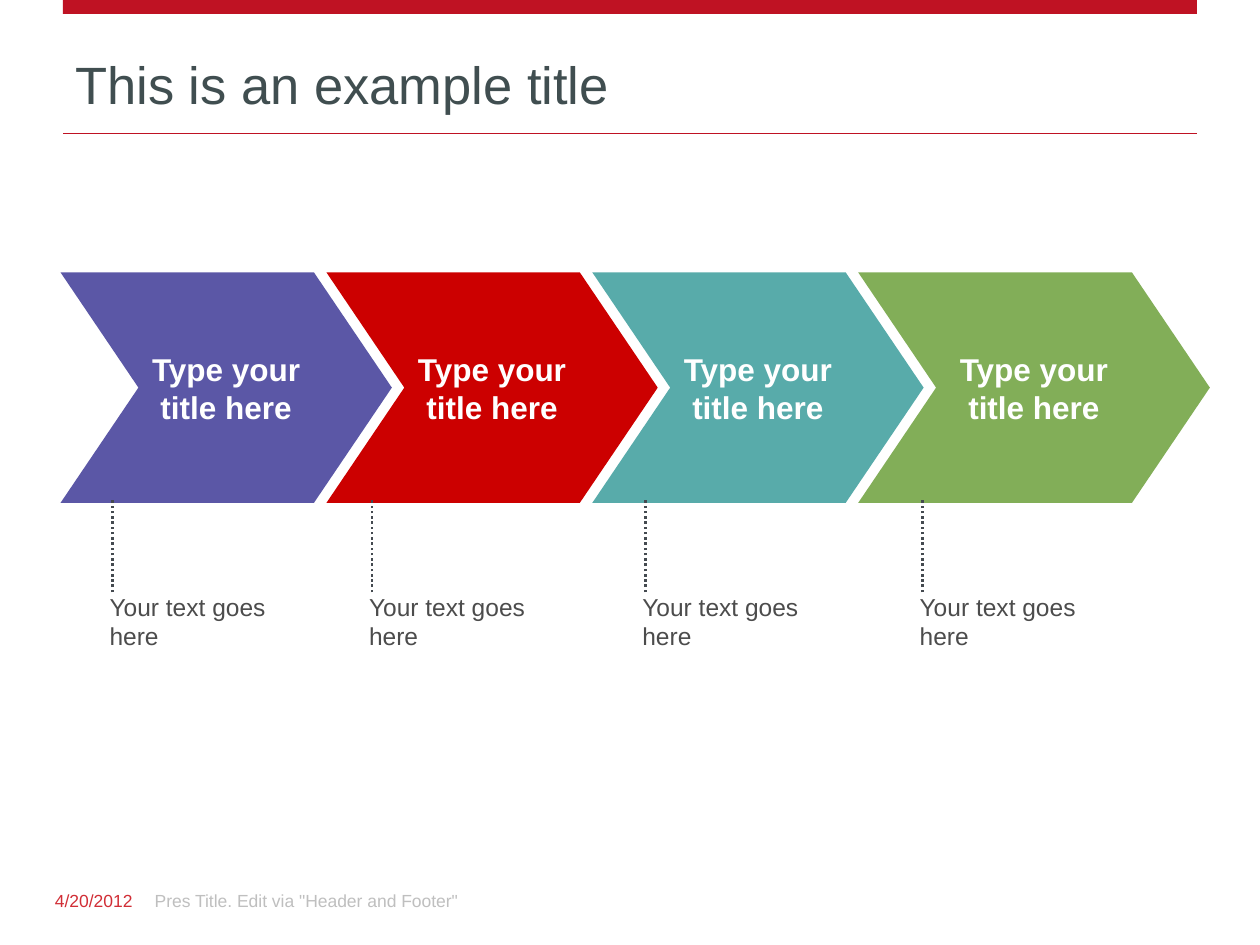
from pptx import Presentation
from pptx.dml.color import RGBColor as Rgb
from pptx.enum.dml import MSO_LINE as Dash
from pptx.enum.shapes import MSO_CONNECTOR as Conn, MSO_SHAPE as Kind
from pptx.enum.text import MSO_ANCHOR as Anchor, PP_ALIGN as Align
from pptx.oxml.ns import qn
from pptx.util import Cm, Pt
from lxml.etree import SubElement

HUES = {
    "bar": "BF1223", "title": "404E50", "white": "FFFFFF",
    "violet": "5B57A6", "red": "CC0000", "teal": "58ABAA", "green": "82AE58",
    "body": "4C4C4C", "dots": "444A50", "date": "D12E36", "foot": "BFBFBF",
}
# colour, chevron width, left edge of the note below it
STEPS = [
    ("violet", 6.68, 2.21), ("red", 6.68, 7.44),
    ("teal", 6.68, 12.95), ("green", 7.09, 18.54),
]


def tone(name):
    """Return the named colour."""
    return Rgb.from_string(HUES[name])


def write(shape, text, size, hue, align=Align.LEFT, bold=False, **frame):
    """Put one styled paragraph into a shape."""
    body = shape.text_frame
    for key, value in {"word_wrap": True, **frame}.items():
        setattr(body, key, value)
    para = body.paragraphs[0]
    para.alignment = align
    run = para.add_run()
    run.text = text
    for key, value in {"name": "Arial", "size": Pt(size), "bold": bold}.items():
        setattr(run.font, key, value)
    run.font.color.rgb = tone(hue)


def label(slide, box, *args, **style):
    """Add a text box at box (left, top, width, height)."""
    write(slide.shapes.add_textbox(*map(Cm, box)), *args, **style)


def block(slide, kind, box, hue):
    """Add a flat filled shape without outline."""
    shape = slide.shapes.add_shape(kind, *map(Cm, box))
    shape.shadow.inherit = False
    shape.fill.solid()
    shape.fill.fore_color.rgb = tone(hue)
    shape.line.fill.background()
    return shape


def stroke(slide, ends, hue, **style):
    """Add a straight line between two points."""
    line = slide.shapes.add_connector(Conn.STRAIGHT, *map(Cm, ends))
    line.line.color.rgb = tone(hue)
    for key, value in style.items():
        setattr(line.line, key, value)
    SubElement(line._element.spPr, qn("a:effectLst"))


def header(slide, left, top, width):
    """Draw the top bar, the title and the rule under it."""
    block(slide, Kind.RECTANGLE, (left, top, width, 0.28), "bar")
    rule = top + 2.69
    stroke(slide, (left, rule, left + width, rule), "bar", width=Pt(1))
    label(slide, (left, top + 0.71, width, 1.73), "This is an example title",
          30, "title", vertical_anchor=Anchor.BOTTOM)


def chain(slide, left, top, pitch, height):
    """Draw the row of chevrons with a dotted lead and a note under each."""
    for i, (hue, width, note) in enumerate(STEPS):
        box = (left + i * pitch, top, width, height)
        arrow = block(slide, Kind.CHEVRON, box, hue)
        arrow.adjustments[0] = 0.338
        write(arrow, "Type your title here", 18, "white", Align.CENTER, True,
              vertical_anchor=Anchor.MIDDLE)
        base = top + height
        label(slide, (note, base + 1.67, 3.58, 3.61), "Your text goes here",
              14, "body", margin_left=0, margin_right=0)
        lead = note + 0.06
        stroke(slide, (lead, base + 1.8, lead, base - 0.06), "dots",
               width=Pt(1.5), dash_style=Dash.ROUND_DOT)


def footer(slide, left, top, height):
    """Write the date and the running title."""
    label(slide, (left, top, 2.95, height), "4/20/2012", 10, "date",
          Align.RIGHT, vertical_anchor=Anchor.MIDDLE)
    label(slide, (left + 2.9, top, 8.05, height),
          'Pres Title. Edit via "Header and Footer"', 10, "foot",
          vertical_anchor=Anchor.MIDDLE)


def main():
    """Build the slide and save it."""
    deck = Presentation()
    deck.slide_width, deck.slide_height = Cm(25.4), Cm(19.05)
    slide = deck.slides.add_slide(deck.slide_layouts[6])
    header(slide, 1.27, 0, 22.86)
    chain(slide, 1.22, 5.49, 5.36, 4.65)
    footer(slide, -0.03, 17.65, 1.02)
    deck.save("out.pptx")


main()
